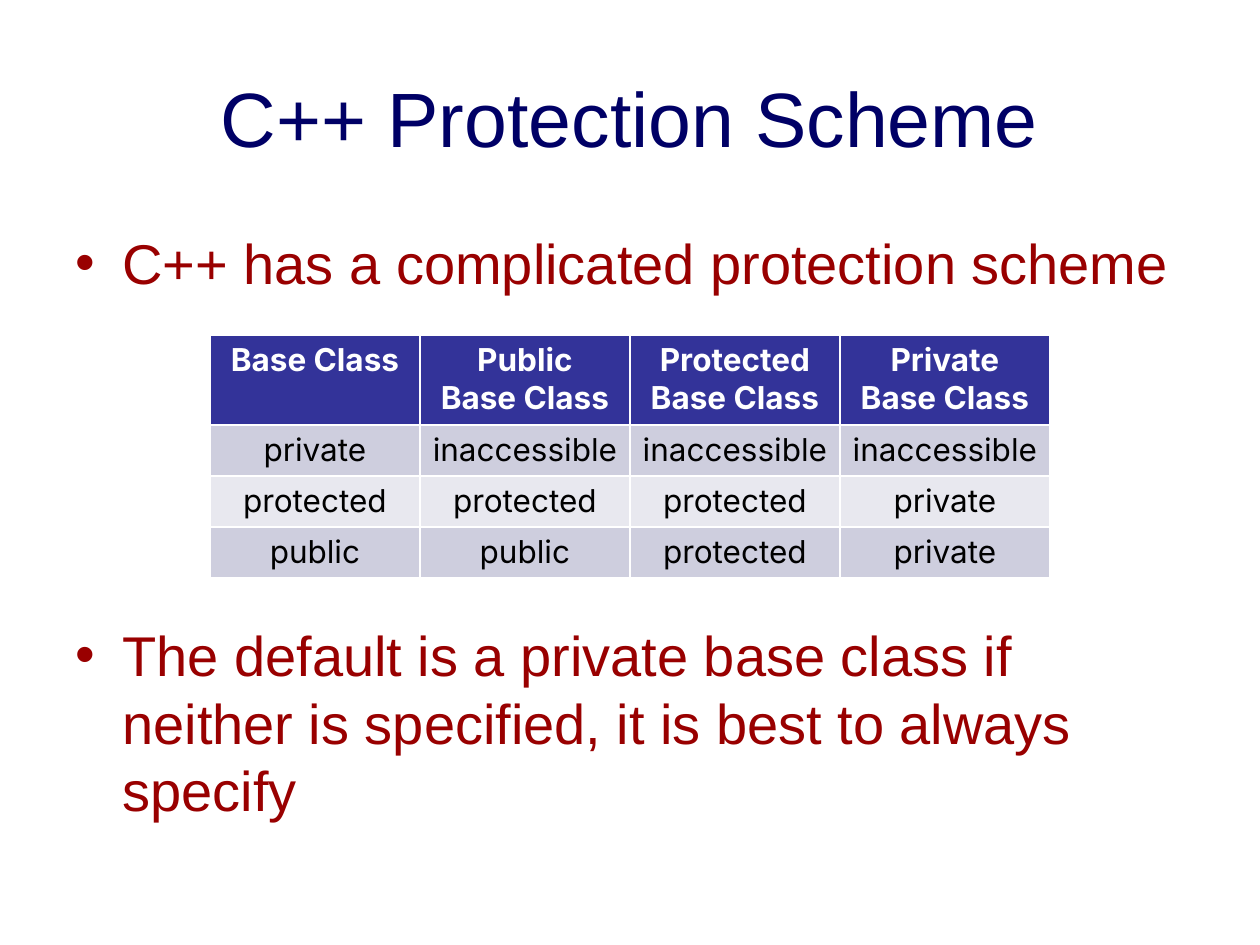
from pptx import Presentation
from pptx.dml.color import RGBColor
from pptx.enum.text import MSO_ANCHOR, PP_ALIGN
from pptx.oxml.ns import qn
from pptx.util import Emu, Pt
from lxml.etree import SubElement

SCALE = 914400 // 126


def px(n):
    return Emu(n * SCALE)


def color(code):
    return RGBColor.from_string(code)


def style(para, font, size, code, bold=False):
    for run in para.runs:
        run.font.name = font
        run.font.size = Pt(size)
        run.font.bold = bold
        run.font.color.rgb = color(code)


def add_title(slide, box, text):
    title = slide.shapes.title
    title.left, title.top, title.width, title.height = map(px, box)
    frame = title.text_frame
    frame.text = text
    frame.vertical_anchor = MSO_ANCHOR.MIDDLE
    para = frame.paragraphs[0]
    para.alignment = PP_ALIGN.CENTER
    style(para, "Arial", 44, "000066")


def add_points(slide, box, points):
    frame = slide.shapes.add_textbox(*map(px, box)).text_frame
    frame.word_wrap = True
    for i, (text, gap) in enumerate(points):
        para = frame.add_paragraph() if i else frame.paragraphs[0]
        para.text = text
        para.line_spacing = Pt(38.6)
        para.space_before = Pt(gap)
        style(para, "Arial", 32, "990000")
        props = para._p.get_or_add_pPr()
        props.set("marL", str(px(47)))
        props.set("indent", str(px(-47)))
        SubElement(props, qn("a:buFont"), typeface="Arial")
        SubElement(props, qn("a:buChar"), char="•")


def add_grid(slide, box, rows, head, line):
    table = slide.shapes.add_table(len(rows), len(rows[0]), *map(px, box)).table
    for col in table.columns:
        col.width = px(box[2] // len(rows[0]))
    for r, texts in enumerate(rows):
        table.rows[r].height = px(line if r else head)
        fill = "333399" if r == 0 else "CECEDE" if r % 2 else "E8E8EF"
        for c, text in enumerate(texts):
            cell = table.cell(r, c)
            cell.margin_left = cell.margin_right = px(6)
            cell.margin_top = cell.margin_bottom = px(6)
            cell.fill.solid()
            cell.fill.fore_color.rgb = color(fill)
            cell.text_frame.text = text
            para = cell.text_frame.paragraphs[0]
            para.alignment = PP_ALIGN.CENTER
            style(para, "Inter", 18, "000000" if r else "FFFFFF", r == 0)


def build():
    deck = Presentation()
    deck.slide_width, deck.slide_height = px(1260), px(945)
    slide = deck.slides.add_slide(deck.slide_layouts[5])
    add_title(slide, (63, 38, 1134, 157), "C++ Protection Scheme")
    add_points(slide, (63, 222, 1134, 624), [
        ("C++ has a complicated protection scheme", 0),
        ("The default is a private base class if neither is specified, "
         "it is best to always specify", 185.4),
    ])
    add_grid(slide, (210, 335, 840, 243), [
        ("Base Class", "Public\vBase Class", "Protected Base Class",
         "Private\vBase Class"),
        ("private", "inaccessible", "inaccessible", "inaccessible"),
        ("protected", "protected", "protected", "private"),
        ("public", "public", "protected", "private"),
    ], 90, 51)
    deck.save("out.pptx")


build()
